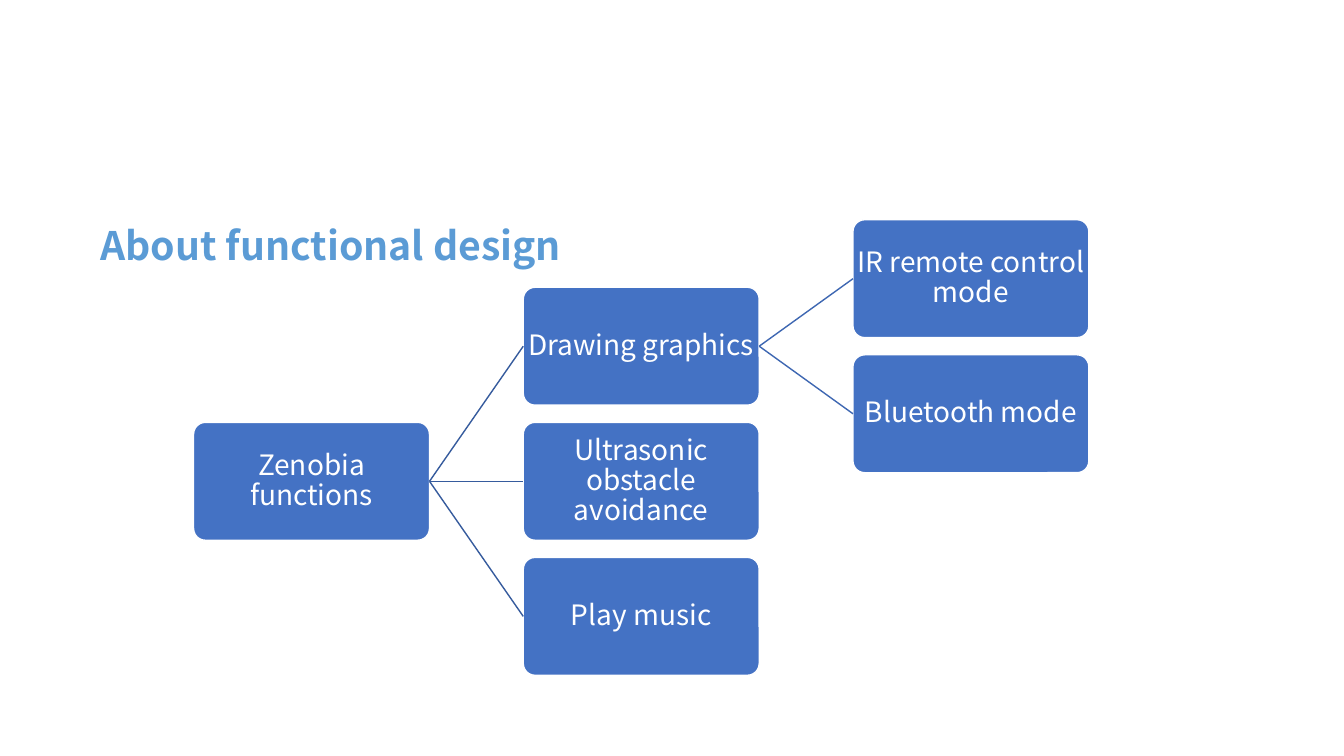
from dataclasses import dataclass

from lxml.etree import SubElement
from pptx import Presentation
from pptx.dml.color import RGBColor as RGB
from pptx.enum.shapes import MSO_CONNECTOR as CONN, MSO_SHAPE as SHAPE
from pptx.enum.text import MSO_ANCHOR as ANCHOR, PP_ALIGN as ALIGN
from pptx.oxml.ns import qn
from pptx.util import Inches, Pt


@dataclass(frozen=True)
class Theme:
    """Colours, font and type sizes."""
    font: str = "Noto Sans CJK SC"
    title: str = "5B9BD5"
    node: str = "4472C4"
    white: str = "FFFFFF"
    trunk: str = "365B9D"
    branch: str = "3E67B2"
    title_size: int = 28
    node_size: int = 20


class TreeSlide:
    """Draws a horizontal tree on one slide."""
    LEFT, MIDDLE = 1.92, 4.19
    COLUMN_STEP, ROW_STEP = 3.27, 1.34
    WIDTH, HEIGHT = 2.34, 1.17
    LEFT_SITE, RIGHT_SITE = 1, 3

    def __init__(self, prs, theme):
        """Add a blank slide to the presentation."""
        self.theme = theme
        self.shapes = prs.slides.add_slide(prs.slide_layouts[6]).shapes

    def set_text(self, tf, text, size, color, bold=False):
        """Fill a text frame with one styled paragraph."""
        tf.word_wrap = True
        p = tf.paragraphs[0]
        p.text = text
        p.line_spacing = 0.9
        p.font.name = self.theme.font
        p.font.size = Pt(size)
        p.font.bold = bold
        p.font.color.rgb = RGB.from_string(color)
        return p

    def title(self, text):
        """Add the heading."""
        sp = self.shapes.add_textbox(Inches(0.9), Inches(2.2), Inches(5.2), Inches(0.78))
        self.set_text(sp.text_frame, text, self.theme.title_size, self.theme.title, True)

    def node(self, text, column, row):
        """Add a rounded box, with its row counted from the root."""
        sp = self.shapes.add_shape(
            SHAPE.ROUNDED_RECTANGLE,
            Inches(self.LEFT + column * self.COLUMN_STEP),
            Inches(self.MIDDLE + row * self.ROW_STEP),
            Inches(self.WIDTH), Inches(self.HEIGHT))
        sp.adjustments[0] = 0.1
        sp.shadow.inherit = False
        sp.fill.solid()
        sp.fill.fore_color.rgb = RGB.from_string(self.theme.node)
        sp.line.color.rgb = RGB.from_string(self.theme.white)
        sp.line.width = Pt(1)
        tf = sp.text_frame
        tf.margin_left = tf.margin_right = tf.margin_top = tf.margin_bottom = Inches(0.01)
        tf.vertical_anchor = ANCHOR.MIDDLE
        p = self.set_text(tf, text, self.theme.node_size, self.theme.white)
        p.alignment = ALIGN.CENTER
        p.space_after = Pt(7)
        return sp

    def link(self, parent, child, color):
        """Join the right of a parent to the left of its child."""
        line = self.shapes.add_connector(CONN.STRAIGHT, 0, 0, 0, 0)
        line.begin_connect(parent, self.RIGHT_SITE)
        line.end_connect(child, self.LEFT_SITE)
        line.line.color.rgb = RGB.from_string(color)
        line.line.width = Pt(1)
        SubElement(line._element.spPr, qn("a:effectLst"))

    def children(self, parent, column, rows, color):
        """Add linked child boxes and return them."""
        nodes = [self.node(text, column, row) for text, row in rows]
        for child in nodes:
            self.link(parent, child, color)
        return nodes


def main():
    """Build and save the slide."""
    prs = Presentation()
    prs.slide_width, prs.slide_height = Inches(13.33), Inches(7.5)
    theme = Theme()
    s = TreeSlide(prs, theme)
    s.title("About functional design")
    root = s.node("Zenobia functions", 0, 0)
    functions = [("Drawing graphics", -1), ("Ultrasonic obstacle avoidance", 0), ("Play music", 1)]
    drawing = s.children(root, 1, functions, theme.trunk)[0]
    modes = [("IR remote control mode", -1.5), ("Bluetooth mode", -0.5)]
    s.children(drawing, 2, modes, theme.branch)
    prs.save("out.pptx")


if __name__ == "__main__":
    main()
